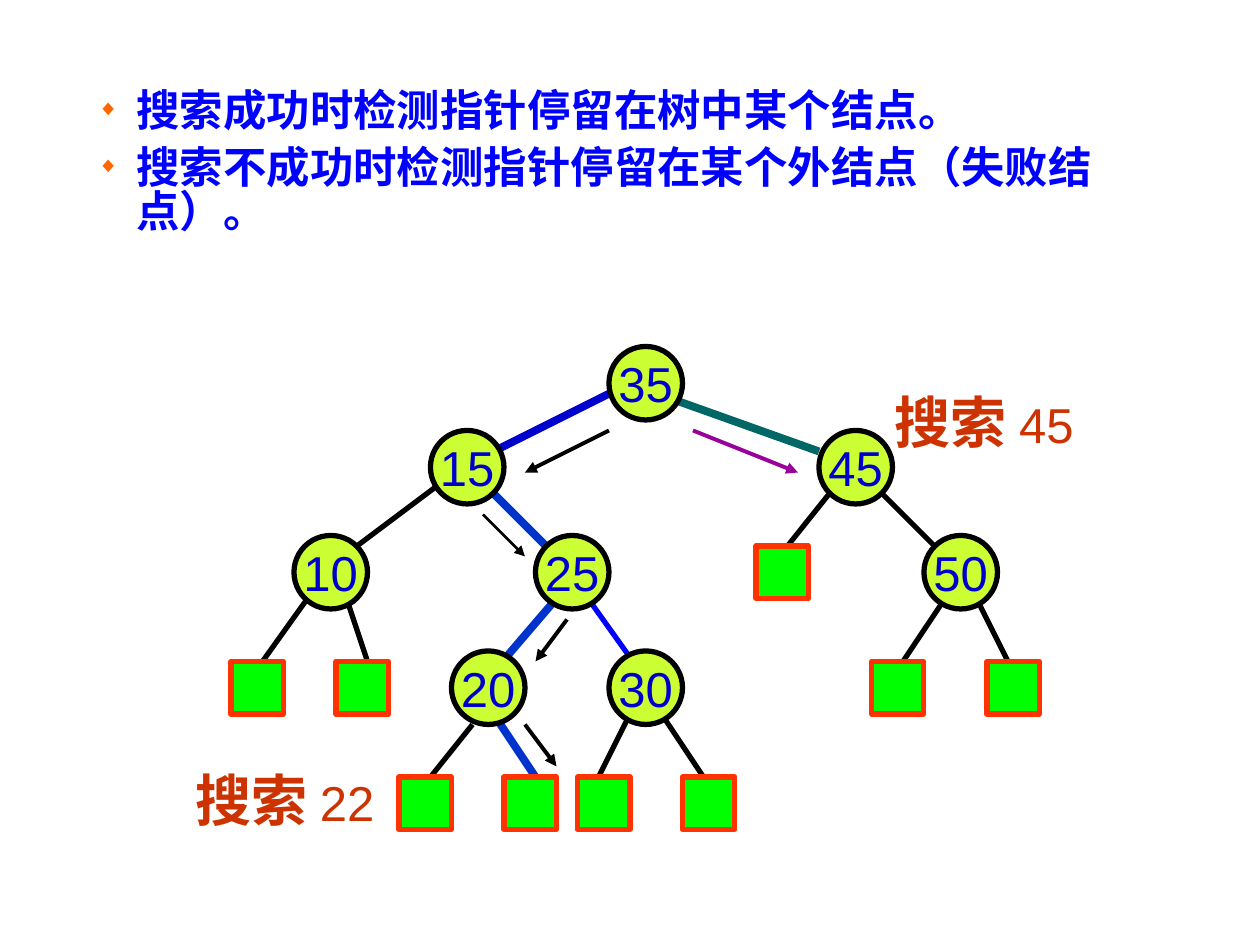
from lxml import etree
from pptx import Presentation
from pptx.dml.color import RGBColor
from pptx.enum import shapes, text
from pptx.oxml import ns
from pptx.util import Pt


def rgb(value):
    return RGBColor.from_string(value)


def add_xml(parent, tag, **attributes):
    return etree.SubElement(parent, ns.qn(tag), attributes)


class TreeSlide:
    serif, sans = "Times New Roman", "Arial"
    black, path_blue, number_blue = "000000", "0033CC", "0000CC"
    node_size, leaf_size, outline = 42, 30, 3

    def __init__(self, prs):
        self.s = prs.slides.add_slide(prs.slide_layouts[1])
        title = self.s.shapes.title
        title.element.getparent().remove(title.element)

    def format_run(self, r, size, name, color, bold=False):
        r.font.size = Pt(size)
        r.font.name = name
        r.font.bold = bold
        r.font.color.rgb = rgb(color)

    def bullets(self, items, left, top, width, height):
        sp = self.s.placeholders[1]
        sp.left, sp.top, sp.width, sp.height = map(Pt, (left, top, width, height))
        tf = sp.text_frame
        tf.text = "\n".join(items)
        tf.auto_size = text.MSO_AUTO_SIZE.NONE
        tf.vertical_anchor = text.MSO_ANCHOR.TOP
        for i, p in enumerate(tf.paragraphs):
            p.level = 1
            pPr = p._p.get_or_add_pPr()
            pPr.set("marL", str(Pt(64.8)))
            pPr.set("indent", str(Pt(-22.3)))
            add_xml(add_xml(pPr, "a:buClr"), "a:srgbClr", val="FF6600")
            add_xml(pPr, "a:buSzPct", val="50000")
            add_xml(pPr, "a:buChar", char="◆")
            p.line_spacing = 0.86
            p.space_before = Pt(7 if i else 0)
            self.format_run(p.runs[0], 24.8, self.serif, "0000FF", True)

    def edge(self, x1, y1, x2, y2, color=black, width=outline):
        line = self.s.shapes.add_connector(
            shapes.MSO_CONNECTOR.STRAIGHT, Pt(x1), Pt(y1), Pt(x2), Pt(y2))
        line.line.color.rgb = rgb(color)
        line.line.width = Pt(width)
        add_xml(line._element.spPr, "a:effectLst")
        return line

    def arrow(self, x1, y1, x2, y2, color=black, width=2.25):
        line = self.edge(x1, y1, x2, y2, color, width)
        add_xml(line.line._get_or_add_ln(), "a:tailEnd", type="triangle")

    def shape(self, kind, left, top, size, fill, color):
        sp = self.s.shapes.add_shape(kind, Pt(left), Pt(top), Pt(size), Pt(size))
        sp.shadow.inherit = False
        sp.fill.solid()
        sp.fill.fore_color.rgb = rgb(fill)
        sp.line.color.rgb = rgb(color)
        sp.line.width = Pt(self.outline)
        return sp

    def node(self, key, left, top):
        sp = self.shape(shapes.MSO_SHAPE.OVAL, left, top, self.node_size,
                        "CCFF33", self.black)
        tf = sp.text_frame
        tf.text = str(key)
        tf.word_wrap = False
        tf.vertical_anchor = text.MSO_ANCHOR.MIDDLE
        p = tf.paragraphs[0]
        p.alignment = text.PP_ALIGN.CENTER
        self.format_run(p.runs[0], 28, self.sans, self.number_blue)

    def leaf(self, left, top):
        self.shape(shapes.MSO_SHAPE.RECTANGLE, left, top, self.leaf_size,
                   "00FF00", "FF3300")

    def label(self, word, key, left, top):
        sp = self.s.shapes.add_textbox(Pt(left), Pt(top), Pt(117.4), Pt(46))
        tf = sp.text_frame
        tf.word_wrap = False
        tf.auto_size = text.MSO_AUTO_SIZE.SHAPE_TO_FIT_TEXT
        p = tf.paragraphs[0]
        for content, size, name, bold in ((word + " ", 32, self.serif, True),
                                          (str(key), 28, self.sans, False)):
            r = p.add_run()
            r.text = content
            self.format_run(r, size, name, "CC3300", bold)


def main():
    prs = Presentation()
    prs.slide_width, prs.slide_height = Pt(720), Pt(540)
    tree = TreeSlide(prs)

    tree.bullets(["搜索成功时检测指针停留在树中某个结点。",
                  "搜索不成功时检测指针停留在某个外结点（失败结点）。"],
                 6, 48, 666, 108)

    plain_edges = [
        (252, 276, 204, 312), (474, 282, 450, 312), (504, 282, 534, 312),
        (180, 336, 150, 378), (198, 342, 210, 378),
        (540, 342, 516, 378), (558, 342, 576, 378),
        (270, 414, 246, 444), (360, 408, 342, 444), (378, 408, 402, 444),
    ]
    for ends in plain_edges:
        tree.edge(*ends)

    tree.edge(336, 342, 366, 384, "0000FF")
    tree.edge(384, 228, 468, 258, "006666", 4.5)
    tree.edge(354, 222, 282, 258, tree.number_blue, 4.5)
    for ends in [(276, 276, 312, 312), (318, 342, 282, 384), (282, 408, 306, 444)]:
        tree.edge(*ends, tree.path_blue, 4.5)

    node_rows = {
        198: {35: 348},
        246: {15: 246, 45: 468},
        306: {10: 168, 25: 306, 50: 528},
        372: {20: 258, 30: 348},
    }
    for top, row in node_rows.items():
        for key, left in row.items():
            tree.node(key, left, top)

    leaf_rows = {312: [432], 378: [132, 192, 498, 564], 444: [228, 288, 330, 390]}
    for top, row in leaf_rows.items():
        for left in row:
            tree.leaf(left, top)

    tree.arrow(348, 246, 300, 270)
    tree.arrow(276, 294, 300, 318, width=1.5)
    tree.arrow(324, 354, 306, 378)
    tree.arrow(300, 414, 318, 438)
    tree.arrow(396, 246, 456, 270, "990099")

    tree.label("搜索", 22, 104.4, 434)
    tree.label("搜索", 45, 504, 218)

    prs.save("out.pptx")


if __name__ == "__main__":
    main()
